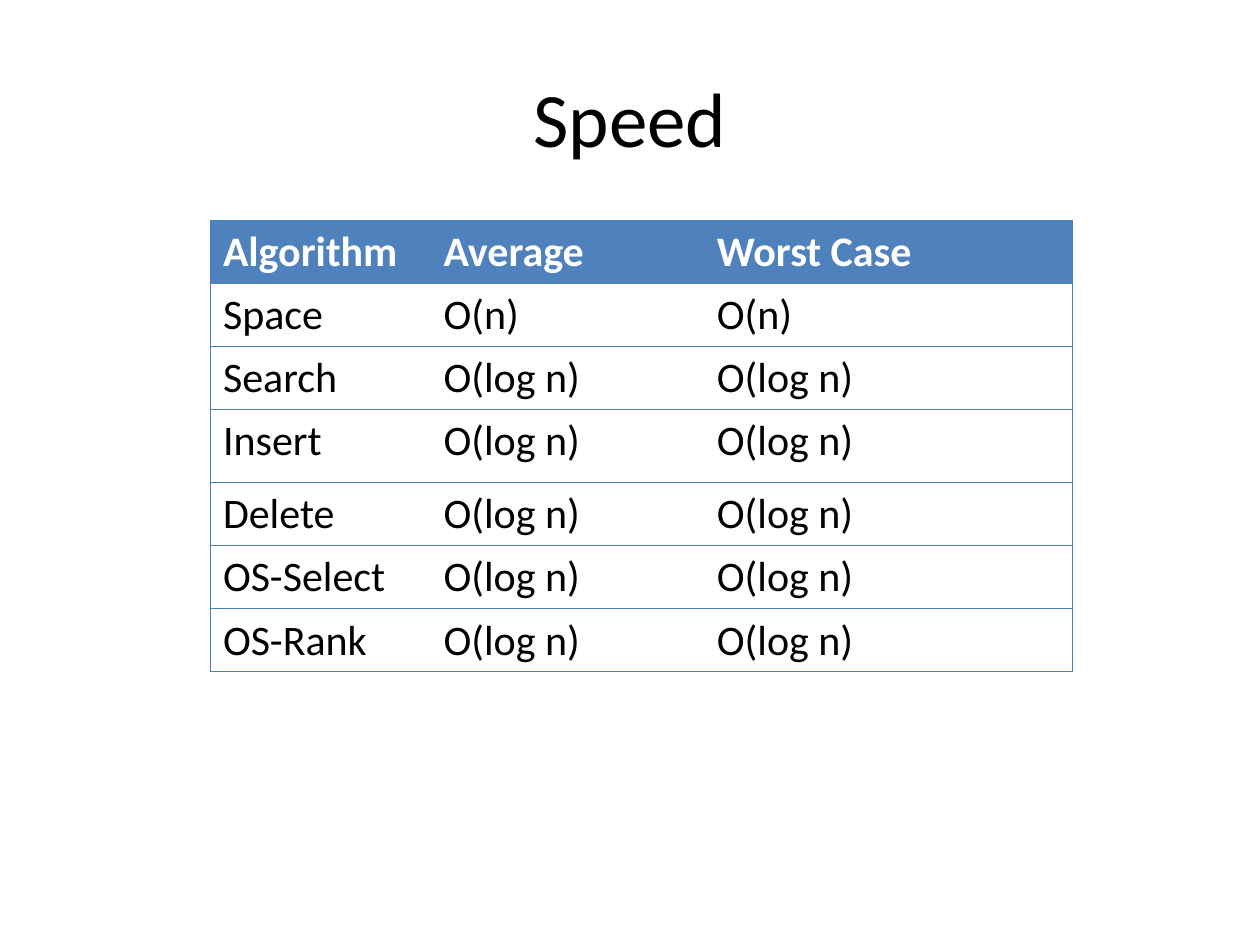
from pptx import Presentation, util as u
from pptx.dml.color import RGBColor
from pptx.enum import text as t
from pptx.oxml.ns import qn
from lxml import etree

COLORS = {"ink": "000000", "header": "4F81BD", "header_text": "FFFFFF", "rule": "4B7EBC"}
FONT = "Calibri"
COLUMN_WIDTHS = [1.75, 2.17, 2.92]
ROW_HEIGHT, INSERT_HEIGHT = 0.41, 0.58
HEADINGS = ["Algorithm", "Average", "Worst Case"]
COSTS = {
    "Space": "O(n)",
    "Search": "O(log n)",
    "Insert": "O(log n)",
    "Delete": "O(log n)",
    "OS-Select": "O(log n)",
    "OS-Rank": "O(log n)",
}


def write(frame, words, size=24, color="ink", bold=False, align=t.PP_ALIGN.LEFT):
    """Put formatted words into a text frame."""
    paragraph = frame.paragraphs[0]
    paragraph.alignment = align
    run = paragraph.add_run()
    run.text = words
    run.font.name = FONT
    run.font.size = u.Pt(size)
    run.font.bold = bold
    run.font.color.rgb = RGBColor.from_string(COLORS[color])


def set_borders(cell, ruled_sides):
    """Rule the given sides of a cell and clear the others."""
    properties = cell._tc.get_or_add_tcPr()
    for side in "LRTB":
        edge = etree.SubElement(properties, qn(f"a:ln{side}"), w=str(u.Pt(0.75)))
        if side in ruled_sides:
            paint = etree.SubElement(edge, qn("a:solidFill"))
            etree.SubElement(paint, qn("a:srgbClr"), val=COLORS["rule"])
        else:
            etree.SubElement(edge, qn("a:noFill"))


def add_title(slide, words):
    """Add the centred slide title."""
    title = slide.shapes.add_textbox(u.Inches(0.5), u.Inches(0.3), u.Inches(9), u.Inches(1.25))
    title.text_frame.word_wrap = True
    title.text_frame.vertical_anchor = t.MSO_ANCHOR.MIDDLE
    write(title.text_frame, words, size=44, align=t.PP_ALIGN.CENTER)


def add_cost_table(slide):
    """Add the table of average and worst-case costs."""
    rows = [HEADINGS] + [[name, cost, cost] for name, cost in COSTS.items()]
    last = len(HEADINGS) - 1
    holder = slide.shapes.add_table(len(rows), len(HEADINGS), u.Inches(1.67), u.Inches(1.75),
                                    u.Inches(6.83), u.Inches(3.58))
    table = holder.table
    table.horz_banding = False
    for column, width in zip(table.columns, COLUMN_WIDTHS):
        column.width = u.Inches(width)
    for r, values in enumerate(rows):
        table.rows[r].height = u.Inches(INSERT_HEIGHT if values[0] == "Insert" else ROW_HEIGHT)
        for c, value in enumerate(values):
            cell = table.cell(r, c)
            set_borders(cell, "TB" + ("L" if c == 0 else "") + ("R" if c == last else ""))
            if r == 0:
                cell.fill.solid()
                cell.fill.fore_color.rgb = RGBColor.from_string(COLORS["header"])
                write(cell.text_frame, value, color="header_text", bold=True)
            else:
                cell.fill.background()
                write(cell.text_frame, value)
    holder.height = u.Inches(3.58)


def main():
    """Build and save the slide."""
    deck = Presentation()
    deck.slide_width, deck.slide_height = u.Inches(10), u.Inches(7.5)
    slide = deck.slides.add_slide(deck.slide_layouts[6])
    add_title(slide, "Speed")
    add_cost_table(slide)
    deck.save("out.pptx")


main()
